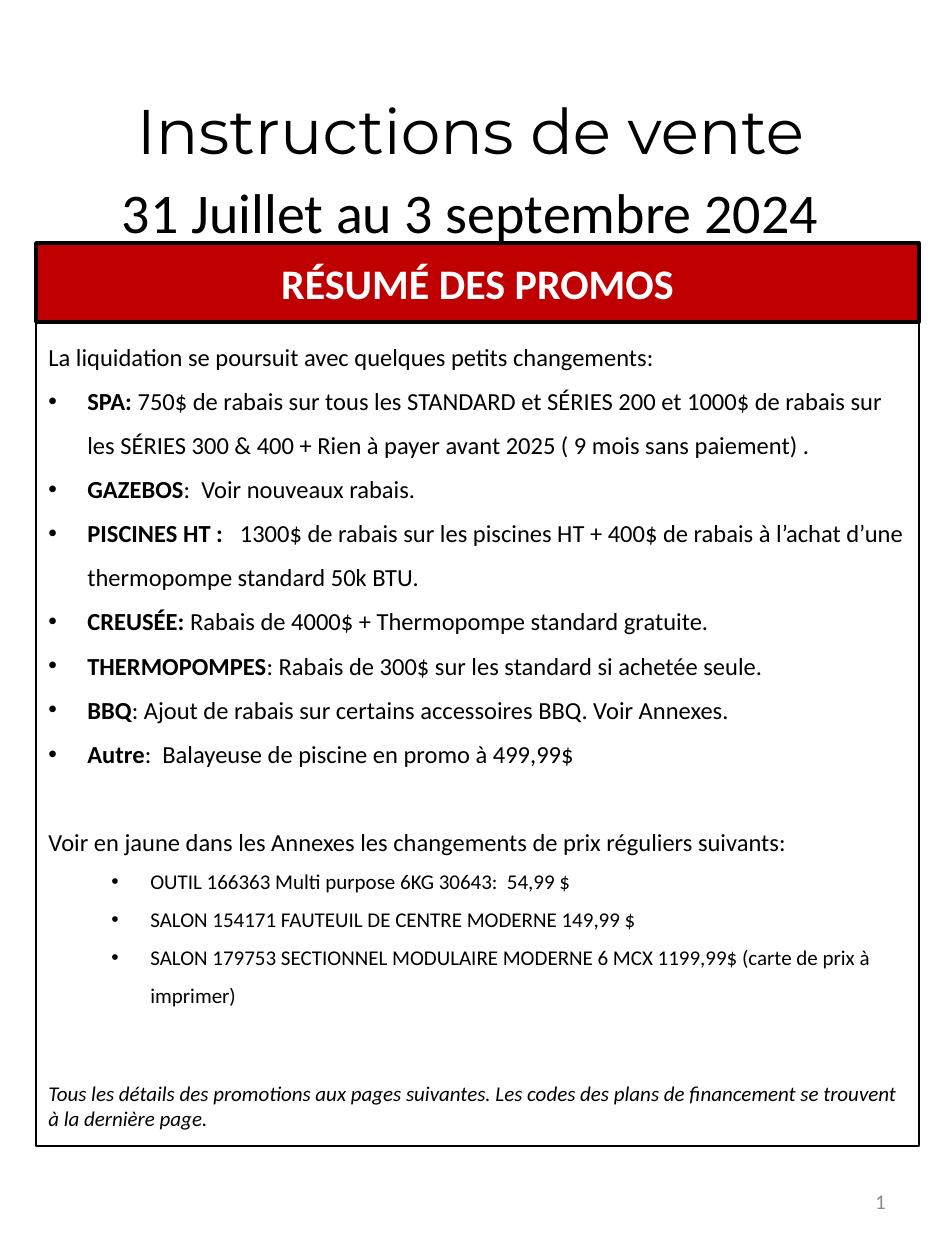
from dataclasses import dataclass

from lxml.etree import SubElement
from pptx import Presentation
from pptx.dml.color import RGBColor
from pptx.enum.shapes import MSO_SHAPE as Shape
from pptx.enum.text import MSO_ANCHOR as Anchor, PP_ALIGN as Align
from pptx.oxml.ns import qn
from pptx.util import Emu, Pt


@dataclass(frozen=True)
class Theme:
    ink: str = "000000"
    banner: str = "C00000"
    light: str = "FFFFFF"
    muted: str = "8C8C8C"
    title_font: str = "Montserrat"
    body_font: str = "Calibri"
    title_size: int = 36
    dates_size: int = 32
    banner_size: int = 24
    body_size: int = 14
    small_size: int = 12


THEME = Theme()
EMU_PER_PX = 914400 / 126

PROMOTIONS = [
    ("SPA: ", "750$ de rabais sur tous les STANDARD et SÉRIES 200 et 1000$ de rabais sur "
     "les SÉRIES 300 & 400 + Rien à payer avant 2025 ( 9 mois sans paiement) ."),
    ("GAZEBOS", ":  Voir nouveaux rabais."),
    ("PISCINES HT :   ", "1300$ de rabais sur les piscines HT + 400$ de rabais à l’achat d’une "
     "thermopompe standard 50k BTU."),
    ("CREUSÉE: ", "Rabais de 4000$ + Thermopompe standard gratuite."),
    ("THERMOPOMPES", ": Rabais de 300$ sur les standard si achetée seule."),
    ("BBQ", ": Ajout de rabais sur certains accessoires BBQ. Voir Annexes."),
    ("Autre", ":  Balayeuse de piscine en promo à 499,99$"),
]
PRICE_CHANGES = [
    "OUTIL 166363 Multi purpose 6KG 30643:  54,99 $",
    "SALON 154171 FAUTEUIL DE CENTRE MODERNE 149,99 $",
    "SALON 179753 SECTIONNEL MODULAIRE MODERNE 6 MCX 1199,99$ (carte de prix à imprimer)",
]


def px(length):
    return Emu(round(length * EMU_PER_PX))


def color(value):
    return RGBColor.from_string(value)


def add_panel(slide, left, top, width, height, line_width, fill=None, anchor=Anchor.TOP):
    shape = slide.shapes.add_shape(Shape.RECTANGLE, px(left), px(top), px(width), px(height))
    shape.shadow.inherit = False
    if fill:
        shape.fill.solid()
        shape.fill.fore_color.rgb = color(fill)
    else:
        shape.fill.background()
    shape.line.color.rgb = color(THEME.ink)
    shape.line.width = Pt(line_width)
    return prepare_frame(shape, anchor)


def add_text_box(slide, left, top, width, height, anchor=Anchor.TOP):
    return prepare_frame(slide.shapes.add_textbox(px(left), px(top), px(width), px(height)), anchor)


def prepare_frame(shape, anchor):
    frame = shape.text_frame
    frame.word_wrap = True
    frame.vertical_anchor = anchor
    return frame


def add_paragraph(frame, align=Align.LEFT, spacing=1.0, before=0, after=0, indent=None, level=0):
    first = frame.paragraphs[0]
    paragraph = frame.add_paragraph() if first.runs else first
    paragraph.alignment = align
    paragraph.line_spacing = spacing
    paragraph.space_before = Pt(before)
    paragraph.space_after = Pt(after)
    paragraph.level = level
    if indent:
        properties = paragraph._p.get_or_add_pPr()
        properties.set("marL", str(px(indent)))
        properties.set("indent", str(-px(39)))
        SubElement(properties, qn("a:buFont"), typeface="Arial")
        SubElement(properties, qn("a:buChar"), char="•")
    return paragraph


def add_text(paragraph, text, size=THEME.body_size, font=THEME.body_font, ink=THEME.ink,
             bold=False, italic=False):
    run = paragraph.add_run()
    run.text = text
    run.font.size = Pt(size)
    run.font.name = font
    run.font.color.rgb = color(ink)
    run.font.bold = bold
    run.font.italic = italic


def add_banner(slide):
    frame = add_panel(slide, 36, 243, 883, 79, 2, THEME.banner, Anchor.MIDDLE)
    add_text(add_paragraph(frame, Align.CENTER), "RÉSUMÉ DES PROMOS",
             size=THEME.banner_size, ink=THEME.light, bold=True)


def add_summary(slide):
    frame = add_panel(slide, 36, 321, 883, 825, 0.75)
    add_text(add_paragraph(frame, spacing=1.5),
             "La liquidation se poursuit avec quelques petits changements:")
    for label, details in PROMOTIONS:
        paragraph = add_paragraph(frame, spacing=1.5, indent=39)
        add_text(paragraph, label, bold=True)
        add_text(paragraph, details)
    add_text(add_paragraph(frame, spacing=1.5, before=25),
             "Voir en jaune dans les Annexes les changements de prix réguliers suivants:")
    for change in PRICE_CHANGES:
        add_text(add_paragraph(frame, spacing=1.5, indent=102, level=1), change,
                 size=THEME.small_size)
    add_text(add_paragraph(frame, before=42),
             "Tous les détails des promotions aux pages suivantes. Les codes des plans de "
             "financement se trouvent à la dernière page.",
             size=THEME.small_size, italic=True)


def add_page_number(slide):
    frame = add_text_box(slide, 678, 1168, 220, 67, Anchor.MIDDLE)
    add_text(add_paragraph(frame, Align.RIGHT), "1", size=THEME.small_size, ink=THEME.muted)


def add_title(slide):
    frame = add_text_box(slide, 45, 74, 851, 149)
    paragraph = add_paragraph(frame, Align.CENTER, spacing=1.15, after=10)
    add_text(paragraph, "Instructions de vente", size=THEME.title_size, font=THEME.title_font)
    paragraph.add_line_break()
    add_text(paragraph, "31 Juillet au 3 septembre 2024", size=THEME.dates_size)


def main():
    presentation = Presentation()
    presentation.slide_width = px(945)
    presentation.slide_height = px(1260)
    slide = presentation.slides.add_slide(presentation.slide_layouts[6])
    add_banner(slide)
    add_summary(slide)
    add_page_number(slide)
    add_title(slide)
    presentation.save("out.pptx")


if __name__ == "__main__":
    main()
